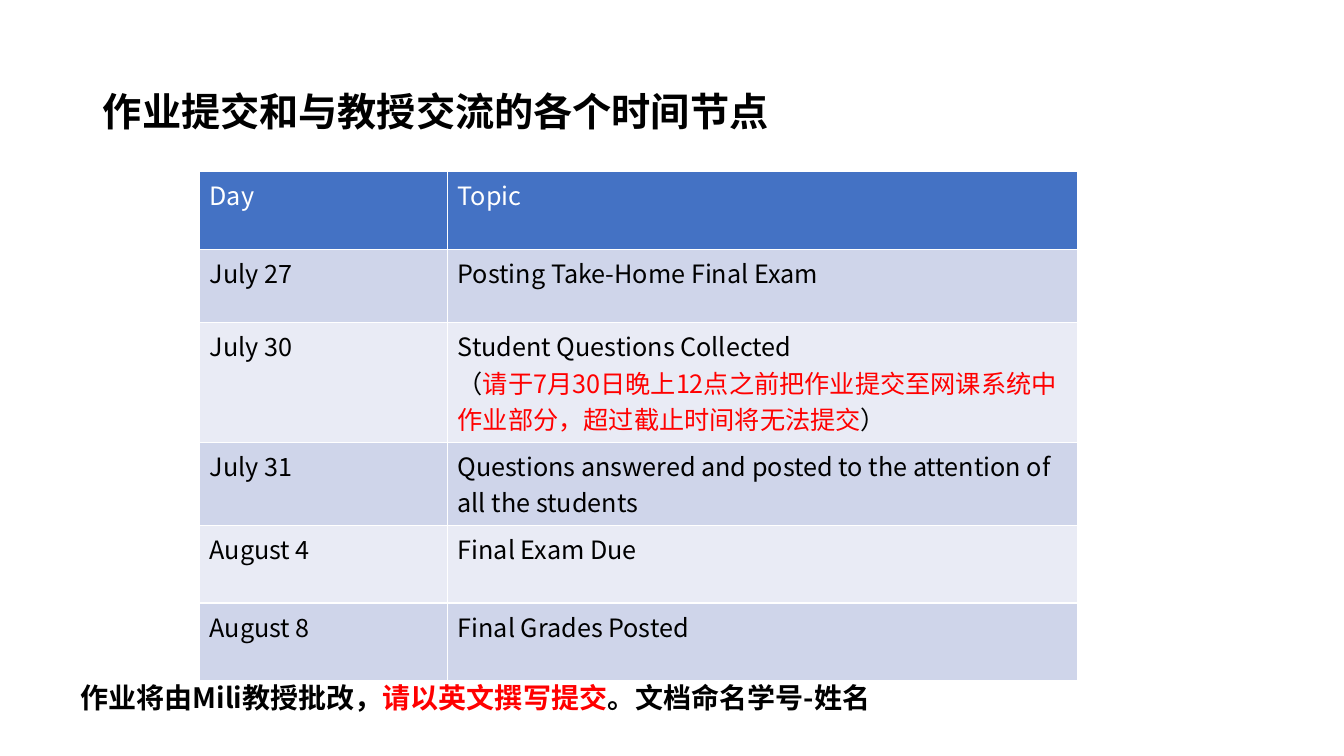
from pptx import Presentation
from pptx.dml.color import RGBColor
from pptx.enum.text import MSO_ANCHOR, MSO_AUTO_SIZE, PP_ALIGN
from pptx.oxml.ns import qn
from pptx.util import Cm, Pt

LEFT = PP_ALIGN.LEFT
MIDDLE = MSO_ANCHOR.MIDDLE
NO_AUTOFIT = MSO_AUTO_SIZE.NONE

FONT = "Noto Sans CJK SC"
BLACK = RGBColor(0x00, 0x00, 0x00)
WHITE = RGBColor(0xFF, 0xFF, 0xFF)
RED = RGBColor(0xFF, 0x00, 0x00)
HEADER_BLUE = RGBColor(0x44, 0x72, 0xC4)
BAND_DARK = RGBColor(0xCF, 0xD5, 0xEA)
BAND_LIGHT = RGBColor(0xE9, 0xEB, 0xF5)


def write_text(frame, paragraphs, size=18, color=BLACK, bold=False, spacing=1.0):
    for index, runs in enumerate(paragraphs):
        paragraph = frame.paragraphs[0] if index == 0 else frame.add_paragraph()
        paragraph.alignment = LEFT
        paragraph.line_spacing = spacing
        for text, run_color in runs:
            run = paragraph.add_run()
            run.text = text
            run.font.size = Pt(size)
            run.font.bold = bold
            run.font.name = FONT
            run.font.color.rgb = run_color or color
            east_asian = run.font._element.makeelement(qn("a:ea"), {"typeface": FONT})
            run.font._element.find(qn("a:latin")).addnext(east_asian)


presentation = Presentation()
presentation.slide_width = Cm(33.87)
presentation.slide_height = Cm(19.05)
slide = presentation.slides.add_slide(presentation.slide_layouts[5])

title = slide.shapes.title
title.left, title.top, title.width, title.height = Cm(2.34), Cm(1.02), Cm(29.21), Cm(3.68)
title.text_frame.auto_size = NO_AUTOFIT
title.text_frame.vertical_anchor = MIDDLE
write_text(title.text_frame, [[("作业提交和与教授交流的各个时间节点", None)]],
           size=28, bold=True, spacing=0.9)

questions_topic = [
    [("Student Questions Collected", None)],
    [
        ("（", None),
        ("请于7月30日晚上12点之前把作业提交至网课系统中作业部分，超过截止时间将无法提交", RED),
        ("）", None),
    ],
]
schedule = [
    ("Day", [[("Topic", None)]]),
    ("July 27", [[("Posting Take-Home Final Exam", None)]]),
    ("July 30", questions_topic),
    ("July 31", [[("Questions answered and posted to the attention of all the students", None)]]),
    ("August 4", [[("Final Exam Due", None)]]),
    ("August 8", [[("Final Grades Posted", None)]]),
]
table = slide.shapes.add_table(len(schedule), 2, Cm(5.03), Cm(4.32), Cm(22.12), Cm(11.65)).table
table.columns[0].width = Cm(6.25)
table.columns[1].width = Cm(15.87)

for row_index, (day, topic) in enumerate(schedule):
    table.rows[row_index].height = Cm(1.85 if row_index == 1 else 1.96)
    if row_index == 0:
        fill_color, text_color = HEADER_BLUE, WHITE
    else:
        fill_color, text_color = (BAND_DARK if row_index % 2 else BAND_LIGHT), BLACK
    for column_index, paragraphs in enumerate(([[(day, None)]], topic)):
        cell = table.cell(row_index, column_index)
        cell.fill.solid()
        cell.fill.fore_color.rgb = fill_color
        write_text(cell.text_frame, paragraphs, color=text_color)

submission_note = slide.shapes.add_textbox(Cm(1.78), Cm(16.59), Cm(29.21), Cm(2.08))
submission_note.text_frame.word_wrap = True
submission_note.text_frame.vertical_anchor = MIDDLE
write_text(
    submission_note.text_frame,
    [[("作业将由Mili教授批改，", None), ("请以英文撰写提交", RED), ("。文档命名学号-姓名", None)]],
    size=20, bold=True, spacing=0.9,
)

presentation.save("out.pptx")
